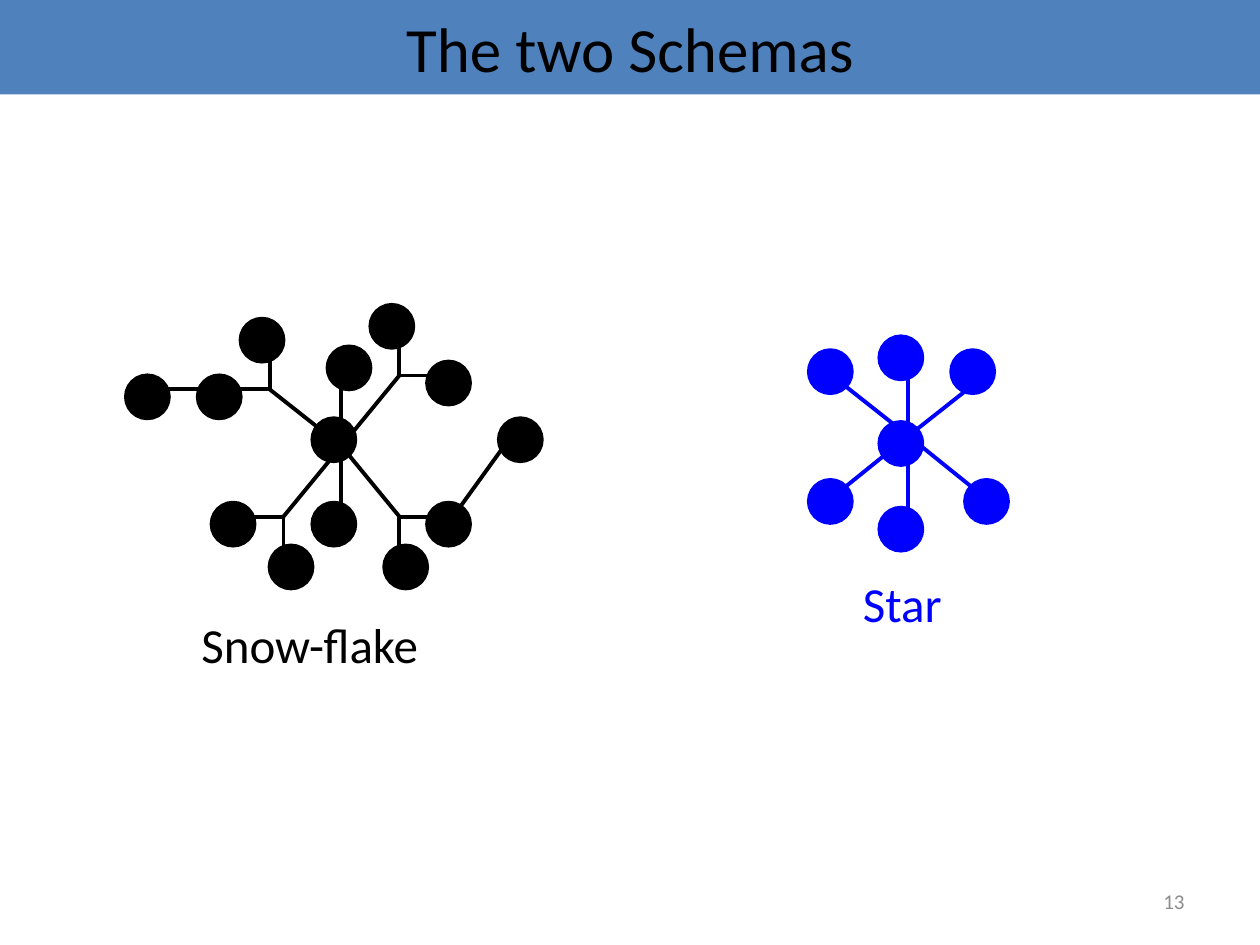
from lxml import etree
from pptx import Presentation
from pptx.dml.color import RGBColor
from pptx.enum.shapes import MSO_CONNECTOR, MSO_SHAPE
from pptx.enum.text import MSO_ANCHOR, PP_ALIGN
from pptx.oxml.ns import qn
from pptx.util import Inches, Pt

STRAIGHT = MSO_CONNECTOR.STRAIGHT
RECTANGLE, OVAL = MSO_SHAPE.RECTANGLE, MSO_SHAPE.OVAL
LEFT, CENTER, RIGHT = PP_ALIGN.LEFT, PP_ALIGN.CENTER, PP_ALIGN.RIGHT
TOP, MIDDLE = MSO_ANCHOR.TOP, MSO_ANCHOR.MIDDLE

BLACK = RGBColor(0x00, 0x00, 0x00)
BLUE = RGBColor(0x00, 0x00, 0xFF)
BANNER_BLUE = RGBColor(0x4F, 0x81, 0xBD)
GRAY = RGBColor(0x8C, 0x8C, 0x8C)

FONT = "Calibri"
LINE_WIDTH = Pt(2.25)
NODE_SIZE = 0.34

# Points and node corners are inches from the top left of each diagram.
STAR_HUB = (0.79, 0.79)
STAR_TIPS = [(0.79, 0.22), (0.79, 1.36), (1.36, 0.34),
             (0.22, 1.25), (1.36, 1.25), (0.22, 0.34)]
STAR_EDGES = [(STAR_HUB, tip) for tip in STAR_TIPS]
STAR_NODES = [(1.24, 1.14), (0.56, 1.36), (0, 1.14), (1.13, 0.11),
              (0.56, 0), (0, 0.11), (0.56, 0.68)]

SNOWFLAKE_HUB = (1.71, 1.12)
SNOWFLAKE_BRANCHES = {
    (1.71, 0.56): [],
    (1.71, 1.68): [],
    (1.14, 0.67): [(1.14, 0.33), (0.8, 0.67)],
    (2.17, 0.56): [(2.51, 0.56), (2.17, 0.22)],
    (1.25, 1.68): [(0.91, 1.68), (1.25, 2.02)],
    (2.17, 1.68): [(2.51, 1.68), (2.17, 2.02)],
}
SNOWFLAKE_EDGES = [((0.11, 0.67), (0.68, 0.67)), ((3.08, 1.01), (2.51, 1.8))]
for joint, tips in SNOWFLAKE_BRANCHES.items():
    SNOWFLAKE_EDGES.append((SNOWFLAKE_HUB, joint))
    SNOWFLAKE_EDGES.extend((joint, tip) for tip in tips)
SNOWFLAKE_NODES = [(1.48, 0.9), (1.48, 1.57), (0.68, 1.57), (1.14, 1.91),
                   (2.05, 1.91), (1.94, 0), (1.6, 0.33), (0.57, 0.56),
                   (0.91, 0.11), (0, 0.56), (2.39, 1.57), (2.39, 0.45),
                   (2.96, 0.9)]


def write_text(shape, text, *, size, color, align=LEFT, anchor=TOP):
    frame = shape.text_frame
    frame.word_wrap = True
    frame.vertical_anchor = anchor
    paragraph = frame.paragraphs[0]
    paragraph.alignment = align
    run = paragraph.add_run()
    run.text = text
    run.font.name = FONT
    run.font.size = Pt(size)
    run.font.color.rgb = color


def add_text(shapes, box, text, **text_format):
    text_box = shapes.add_textbox(*map(Inches, box))
    write_text(text_box, text, **text_format)


def add_filled_shape(shapes, kind, box, color):
    shape = shapes.add_shape(kind, *map(Inches, box))
    shape.shadow.inherit = False
    shape.fill.solid()
    shape.fill.fore_color.rgb = color
    shape.line.fill.background()
    return shape


def add_edge(shapes, start, end, color):
    edge = shapes.add_connector(STRAIGHT, *map(Inches, start + end))
    edge.line.color.rgb = color
    edge.line.width = LINE_WIDTH
    etree.SubElement(edge._element.spPr, qn("a:effectLst"))


def add_node(shapes, left, top, color):
    node = add_filled_shape(shapes, OVAL, (left, top, NODE_SIZE, NODE_SIZE), color)
    node.line.color.rgb = color
    node.line.width = LINE_WIDTH


def add_title_banner(slide, box, text):
    banner = add_filled_shape(slide.shapes, RECTANGLE, box, BANNER_BLUE)
    write_text(banner, text, size=36, color=BLACK, align=CENTER, anchor=MIDDLE)


def add_schema(slide, origin, edges, nodes, caption, caption_box, color):
    """Group edges, nodes and caption, all placed relative to origin."""
    left, top = origin
    shapes = slide.shapes.add_group_shape().shapes

    def shifted(point):
        return left + point[0], top + point[1]

    for start, end in edges:
        add_edge(shapes, shifted(start), shifted(end), color)
    for node in nodes:
        add_node(shapes, *shifted(node), color)
    add_text(shapes, shifted(caption_box[:2]) + caption_box[2:], caption,
             size=28, color=color)


def main():
    presentation = Presentation()
    presentation.slide_width = Inches(10)
    presentation.slide_height = Inches(7.5)
    slide = presentation.slides.add_slide(presentation.slide_layouts[6])

    add_text(slide.shapes, (7.17, 6.95, 2.33, 0.4), "13",
             size=12, color=GRAY, align=RIGHT, anchor=MIDDLE)
    add_title_banner(slide, (0, 0, 10, 0.75), "The two Schemas")
    add_schema(slide, (6.42, 2.67), STAR_EDGES, STAR_NODES,
               "Star", (0.33, 1.83, 1.08, 0.57), BLUE)
    add_schema(slide, (1, 2.42), SNOWFLAKE_EDGES, SNOWFLAKE_NODES,
               "Snow-flake", (0.5, 2.41, 2.42, 0.57), BLACK)

    presentation.save("out.pptx")


if __name__ == "__main__":
    main()
